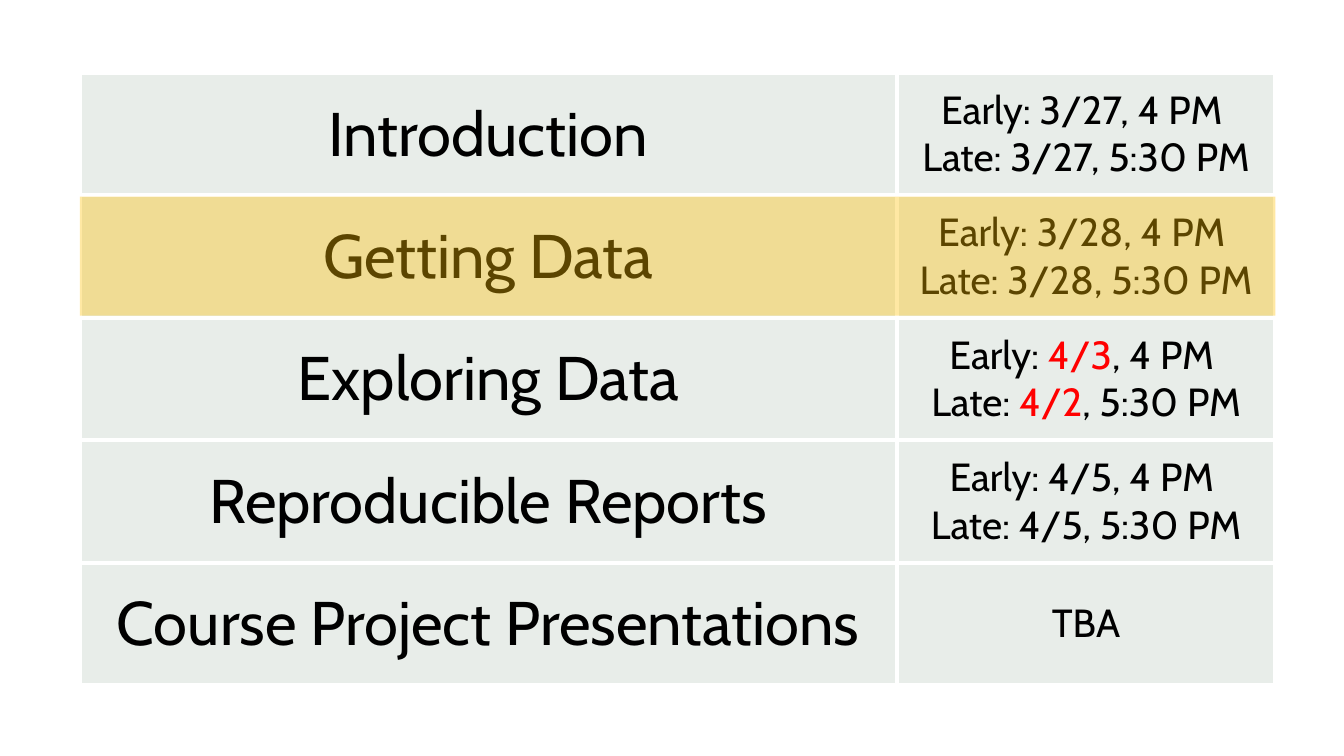
from dataclasses import dataclass

from lxml.etree import SubElement
from pptx import Presentation
from pptx.dml.color import RGBColor
from pptx.enum.shapes import MSO_SHAPE as SHAPE
from pptx.enum.text import MSO_ANCHOR as ANCHOR, PP_ALIGN as ALIGN
from pptx.oxml.ns import qn
from pptx.util import Emu, Pt

FONT = "Cabin"
BLACK = RGBColor(0x00, 0x00, 0x00)
RED = RGBColor(0xFF, 0x00, 0x00)
WHITE = RGBColor(0xFF, 0xFF, 0xFF)
PALE = RGBColor(0xE8, 0xED, 0xE9)
AMBER = RGBColor(0xFF, 0xC0, 0x00)

LEFT, TOP = 114, 104
COLS = (1167, 541)
ROW_H = 175
WIDTH = sum(COLS)


def px(n: int) -> Emu:
    """144 px to the inch."""
    return Emu(n * 6350)


@dataclass(frozen=True)
class Run:
    text: str
    color: RGBColor = BLACK


Line = list[Run]


@dataclass(frozen=True)
class Session:
    title: str
    early: str = ""
    late: str = ""
    date_color: RGBColor = BLACK

    def times(self) -> list[Line]:
        if not self.early:
            return [[Run("TBA")]]
        slots = (("Early: ", self.early, ", 4 PM "), ("Late: ", self.late, ", 5:30 PM"))
        if self.date_color == BLACK:
            return [[Run("".join(slot))] for slot in slots]
        return [[Run(name), Run(date, self.date_color), Run(hour)]
                for name, date, hour in slots]


SESSIONS = (
    Session("Introduction", "3/27", "3/27"),
    Session("Getting Data", "3/28", "3/28"),
    Session("Exploring Data", "4/3", "4/2", RED),
    Session("Reproducible Reports", "4/5", "4/5"),
    Session("Course Project Presentations"),
)


def set_borders(cell, color: RGBColor, width: int) -> None:
    tc_pr = cell._tc.get_or_add_tcPr()
    for i, side in enumerate(("lnL", "lnR", "lnT", "lnB")):
        ln = tc_pr.makeelement(qn(f"a:{side}"), {"w": str(Pt(width))})
        fill = SubElement(ln, qn("a:solidFill"))
        SubElement(fill, qn("a:srgbClr"), {"val": str(color)})
        tc_pr.insert(i, ln)


def fill_cell(cell, lines: list[Line], size: int) -> None:
    cell.fill.solid()
    cell.fill.fore_color.rgb = PALE
    set_borders(cell, WHITE, 3)
    cell.vertical_anchor = ANCHOR.MIDDLE
    tf = cell.text_frame
    for i, line in enumerate(lines):
        p = tf.add_paragraph() if i else tf.paragraphs[0]
        p.alignment = ALIGN.CENTER
        p.font.name = FONT
        p.font.size = Pt(size)
        for run in line:
            r = p.add_run()
            r.text = run.text
            r.font.color.rgb = run.color


def add_schedule(slide) -> None:
    table = slide.shapes.add_table(len(SESSIONS), len(COLS), px(LEFT), px(TOP),
                                   px(WIDTH), px(ROW_H * len(SESSIONS))).table
    for col, width in zip(table.columns, COLS):
        col.width = px(width)
    for i, session in enumerate(SESSIONS):
        table.rows[i].height = px(ROW_H)
        fill_cell(table.cell(i, 0), [[Run(session.title)]], 44)
        fill_cell(table.cell(i, 1), session.times(), 28)


def add_highlight(slide, row: int) -> None:
    sp = slide.shapes.add_shape(SHAPE.RECTANGLE, px(LEFT), px(TOP + row * ROW_H + 2),
                                px(WIDTH), px(ROW_H - 5))
    sp.shadow.inherit = False
    sp.line.fill.background()
    sp.fill.solid()
    sp.fill.fore_color.rgb = AMBER
    clr = sp._element.spPr.find(qn("a:solidFill")).find(qn("a:srgbClr"))
    SubElement(clr, qn("a:alpha"), {"val": "36000"})


def main() -> None:
    prs = Presentation()
    prs.slide_width, prs.slide_height = px(1920), px(1080)
    slide = prs.slides.add_slide(prs.slide_layouts[6])
    # Session timetable
    add_schedule(slide)
    # Translucent band over the current session
    add_highlight(slide, row=1)
    prs.save("out.pptx")


if __name__ == "__main__":
    main()
